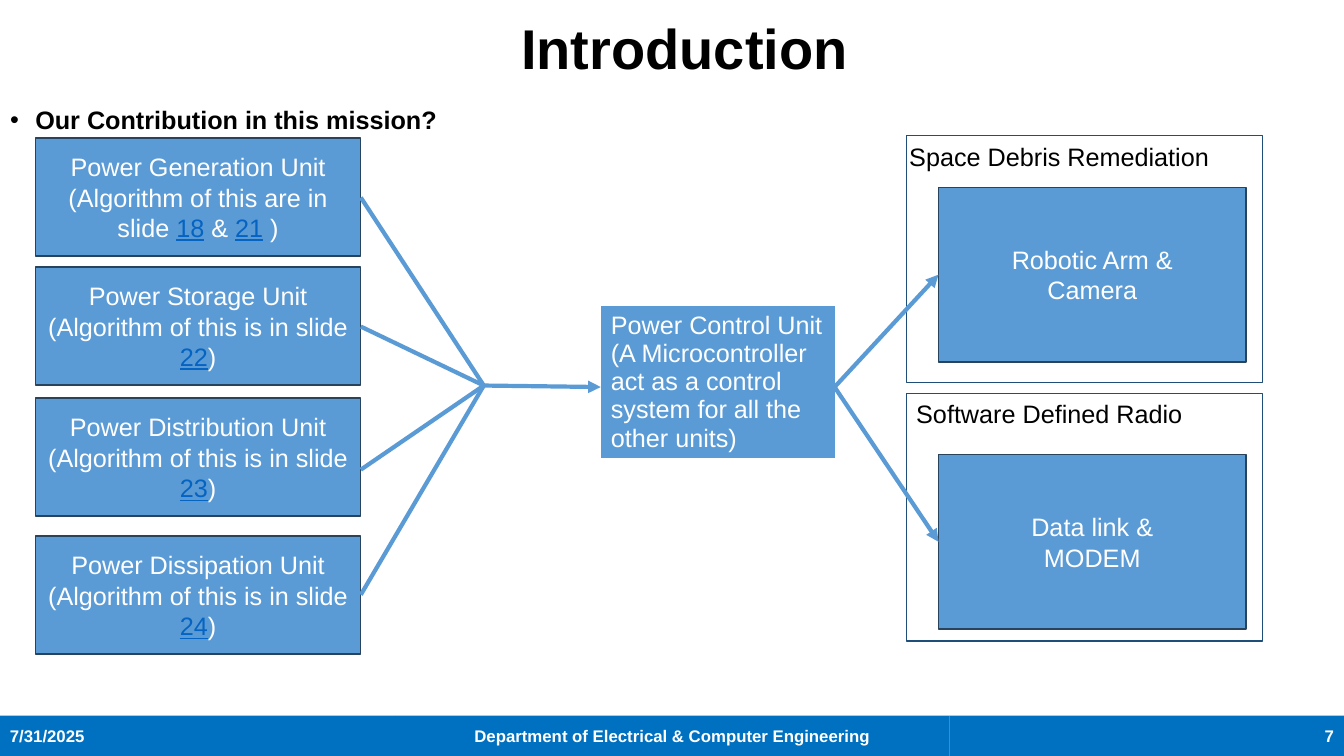
import pptx
import pptx.util
import pptx.dml.color
import pptx.enum.shapes
import pptx.enum.text
import pptx.oxml.ns
import lxml.etree

RGBColor = pptx.dml.color.RGBColor
BLACK = RGBColor(0x00, 0x00, 0x00)
WHITE = RGBColor(0xFF, 0xFF, 0xFF)
BLUE = RGBColor(0x5B, 0x9B, 0xD5)
FOOTER_BLUE = RGBColor(0x00, 0x70, 0xC0)
EDGE_BLUE = RGBColor(0x28, 0x44, 0x5D)
FRAME_BLUE = RGBColor(0x1F, 0x4E, 0x79)
LINK_BLUE = RGBColor(0x05, 0x63, 0xC1)
ALIGN = pptx.enum.text.PP_ALIGN
RECTANGLE = pptx.enum.shapes.MSO_SHAPE.RECTANGLE
STRAIGHT = pptx.enum.shapes.MSO_CONNECTOR.STRAIGHT
MIDDLE = pptx.enum.text.MSO_ANCHOR.MIDDLE
NO_GRID_STYLE = "{2D5ABB26-0587-4C30-8999-92F81FD0307C}"

presentation = pptx.Presentation()
presentation.slide_width = pptx.util.Inches(13.33)
presentation.slide_height = pptx.util.Inches(7.5)
COLUMN = presentation.slide_width / 100
ROW = presentation.slide_height / 100
slide = presentation.slides.add_slide(presentation.slide_layouts[1])
shapes = slide.shapes


def place(left, top, width, height):
    return [round(length) for length in (left * COLUMN, top * ROW, width * COLUMN, height * ROW)]


def write(text_frame, lines, size, color, bold=False, alignment=ALIGN.LEFT, spacing=None):
    text_frame.word_wrap = True
    for number, line in enumerate(lines):
        paragraph = text_frame.paragraphs[0] if number == 0 else text_frame.add_paragraph()
        paragraph.alignment = alignment
        paragraph.line_spacing = spacing
        paragraph.space_before = pptx.util.Pt(0)
        for position, piece in enumerate(line.split("|")):
            is_link = position % 2 == 1
            run = paragraph.add_run()
            run.text = piece
            run.font.color.rgb = LINK_BLUE if is_link else color
            font_format = {"name": "Arial", "size": pptx.util.Pt(size), "bold": bold, "underline": is_link}
            for name, value in font_format.items():
                setattr(run.font, name, value)


title, body = shapes.title, slide.placeholders[1]
for placeholder, bounds in ((title, (13.28, 0.67, 75.3, 12.27)), (body, (0, 13.6, 95.1, 76.27))):
    for name, value in zip(("left", "top", "width", "height"), place(*bounds)):
        setattr(placeholder, name, value)
title.text_frame.vertical_anchor = MIDDLE
write(title.text_frame, ["Introduction"], 40, BLACK, True, ALIGN.CENTER, 0.9)
write(body.text_frame, ["Our Contribution in this mission?"], 18, BLACK, True, spacing=0.9)
bullet_properties = body.text_frame.paragraphs[0]._p.get_or_add_pPr()
bullet_properties.set("marL", str(pptx.util.Inches(0.25)))
bullet_properties.set("indent", str(-pptx.util.Inches(0.25)))

UNIT_LEFT, UNIT_WIDTH, UNIT_HEIGHT = 2.63, 24.22, 15.6
PAYLOAD_LEFT, PAYLOAD_WIDTH, PAYLOAD_HEIGHT = 69.83, 22.88, 23.07
units = [
    (18.27, ["Power Generation Unit", "(Algorithm of this are in slide |18| & |21| )"]),
    (35.33, ["Power Storage Unit", "(Algorithm of this is in slide |22|)"]),
    (52.67, ["Power Distribution Unit", "(Algorithm of this is in slide |23|)"]),
    (70.93, ["Power Dissipation Unit", "(Algorithm of this is in slide |24|)"]),
]
payloads = [(24.8, ["Robotic Arm &", "Camera"]), (60.13, ["Data link &", "MODEM"])]
footers = [
    (0, 29.4, "7/31/2025", ALIGN.LEFT),
    (29.4, 41.25, "Department of Electrical & Computer Engineering", ALIGN.CENTER),
    (70.65, 29.35, "7", ALIGN.RIGHT),
]
boxes = [((left, 94.67, width, 5.33), [text], 12, True, alignment, FOOTER_BLUE, None)
         for left, width, text, alignment in footers]
boxes += [((UNIT_LEFT, top, UNIT_WIDTH, UNIT_HEIGHT), lines, 18, False, ALIGN.CENTER, BLUE, EDGE_BLUE)
          for top, lines in units]
boxes += [((PAYLOAD_LEFT, top, PAYLOAD_WIDTH, PAYLOAD_HEIGHT), lines, 18, False, ALIGN.CENTER, BLUE, EDGE_BLUE)
          for top, lines in payloads]
for bounds, lines, size, bold, alignment, fill, edge in boxes:
    box = shapes.add_shape(RECTANGLE, *place(*bounds))
    box.shadow.inherit = False
    box.fill.solid()
    box.fill.fore_color.rgb = fill
    if edge is None:
        box.line.fill.background()
    else:
        box.line.color.rgb = edge
        box.line.width = pptx.util.Pt(1)
    box.text_frame.vertical_anchor = MIDDLE
    write(box.text_frame, lines, size, WHITE, bold, alignment)

for top in (17.87, 52):
    frame = shapes.add_shape(RECTANGLE, *place(67.42, top, 26.55, 32.8))
    frame.shadow.inherit = False
    frame.fill.background()
    frame.line.color.rgb = FRAME_BLUE
    frame.line.width = pptx.util.Pt(0.75)

control_lines = ["Power Control Unit", "(A Microcontroller act as a control system for all the other units)"]
tables = [
    ((66.9, 18.27, 24.9, 5.47), ["Space Debris Remediation"], BLACK, None),
    ((67.42, 52.27, 23.85, 5.47), ["Software Defined Radio"], BLACK, None),
    ((44.7, 40.53, 17.4, 20), control_lines, WHITE, BLUE),
]
for bounds, lines, color, fill in tables:
    table = shapes.add_table(1, 1, *place(*bounds)).table
    table.first_row = table.horz_banding = False
    table._tbl.tblPr.find(pptx.oxml.ns.qn("a:tableStyleId")).text = NO_GRID_STYLE
    cell = table.cell(0, 0)
    if fill is None:
        cell.fill.background()
    else:
        cell.fill.solid()
        cell.fill.fore_color.rgb = fill
    write(cell.text_frame, lines, 18, color)

JUNCTION_X, JUNCTION_Y = 36, 51
CONTROL_LEFT, CONTROL_RIGHT, CONTROL_MIDDLE = 44.7, 62.1, 51.2
links = [(UNIT_LEFT + UNIT_WIDTH, start_y, JUNCTION_X, JUNCTION_Y, False)
         for start_y in (26.13, 43.2, 62.13, 78.67)]
links.append((JUNCTION_X, JUNCTION_Y, CONTROL_LEFT, CONTROL_MIDDLE, True))
links += [(CONTROL_RIGHT, CONTROL_MIDDLE, PAYLOAD_LEFT, top + PAYLOAD_HEIGHT / 2, True)
          for top, lines in payloads]
for start_x, start_y, end_x, end_y, has_arrow in links:
    connector = shapes.add_connector(STRAIGHT, *place(start_x, start_y, end_x, end_y))
    connector.line.color.rgb = BLUE
    connector.line.width = pptx.util.Pt(3)
    if has_arrow:
        arrowhead = lxml.etree.SubElement(connector.line._get_or_add_ln(), pptx.oxml.ns.qn("a:tailEnd"))
        arrowhead.set("type", "triangle")
    lxml.etree.SubElement(connector._element.spPr, pptx.oxml.ns.qn("a:effectLst"))

presentation.save("out.pptx")
